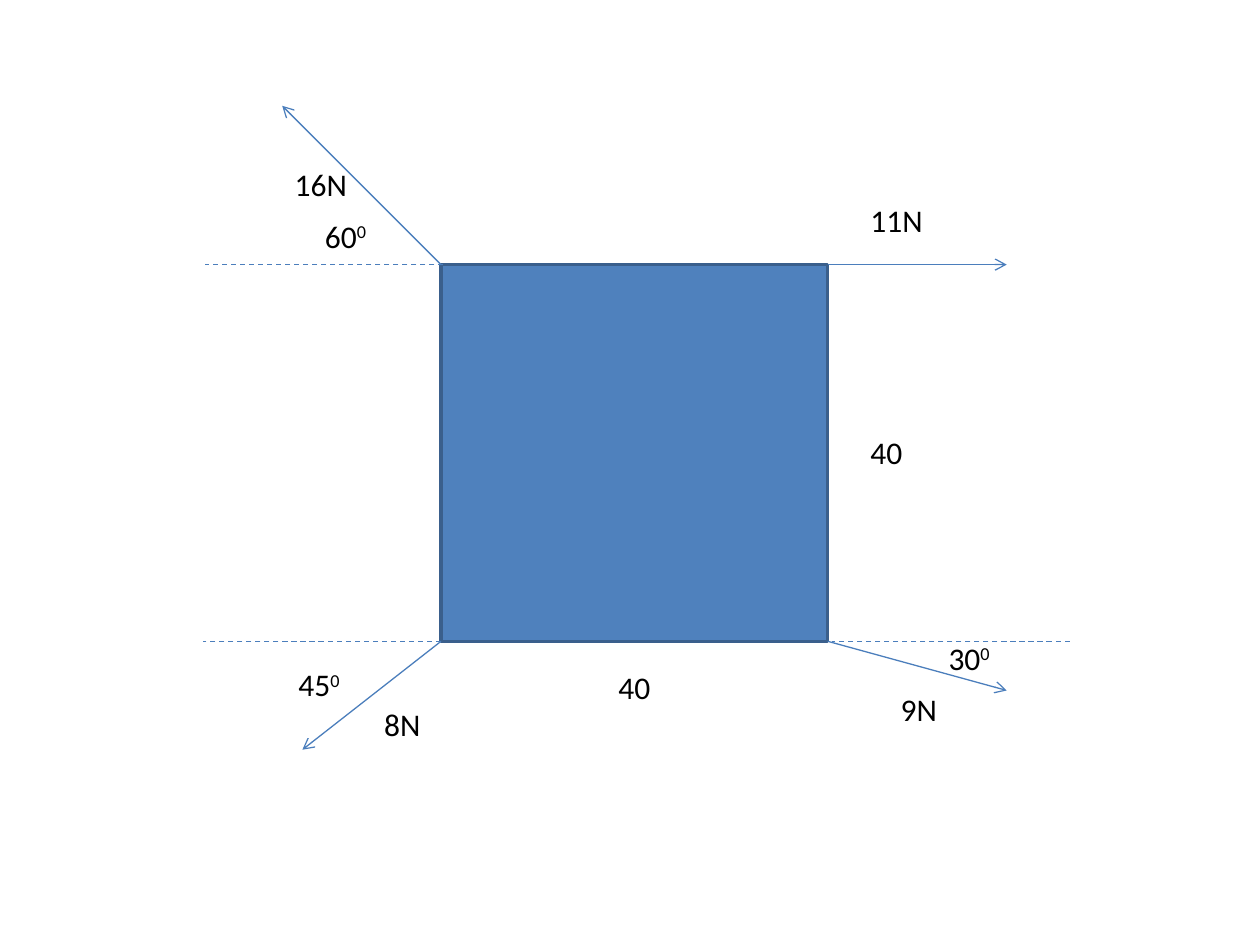
from lxml.etree import SubElement
from pptx import Presentation
from pptx.dml.color import RGBColor
from pptx.enum.dml import MSO_LINE
from pptx.enum.shapes import MSO_CONNECTOR, MSO_SHAPE
from pptx.enum.text import MSO_AUTO_SIZE
from pptx.oxml.ns import qn
from pptx.util import Inches, Pt

LEFT, TOP, RIGHT, BOTTOM = 3.5, 2.1, 6.57, 5.09
GUIDE_LENGTH = 1.89
LABEL_HEIGHT = 0.4
SIDES = [("40", 4.81, 5.25, 0.46), ("40", 6.81, 3.39, 0.46)]
FORCES = [
    {"corner": (RIGHT, TOP), "tip": (7.99, 2.1),
     "force": ("11N", 6.81, 1.55, 0.62)},
    {"corner": (LEFT, BOTTOM), "tip": (2.4, 5.95),
     "force": ("8N", 2.95, 5.55, 0.49),
     "angle": ("45", 2.27, 5.23, 0.6), "guide": LEFT},
    {"corner": (RIGHT, BOTTOM), "tip": (7.99, 5.48),
     "force": ("9N", 7.05, 5.43, 0.49),
     "angle": ("30", 7.43, 5.02, 0.6), "guide": 8.49},
    {"corner": (LEFT, TOP), "tip": (2.24, 0.84),
     "force": ("16N", 2.24, 1.26, 0.62),
     "angle": ("60", 2.48, 1.67, 0.6), "guide": 3.52},
]


def color(value):
    return RGBColor.from_string(value)


def add_label(group, text, left, top, width, superscript="", size=18,
              font="Calibri", fill="000000"):
    box = group.shapes.add_textbox(
        Inches(left), Inches(top), Inches(width), Inches(LABEL_HEIGHT))
    frame = box.text_frame
    frame.word_wrap = False
    frame.auto_size = MSO_AUTO_SIZE.SHAPE_TO_FIT_TEXT
    for content, baseline in ((text, 0), (superscript, 30000)):
        if content:
            run = frame.paragraphs[0].add_run()
            run.text = content
            run.font.name = font
            run.font.size = Pt(size)
            run.font.color.rgb = color(fill)
            if baseline:
                run.font._element.set("baseline", str(baseline))


def add_line(group, start, end, arrow=False, dashed=False):
    connector = group.shapes.add_connector(
        MSO_CONNECTOR.STRAIGHT, *(Inches(value) for value in (*start, *end)))
    connector.line.color.rgb = color("4B7EBC")
    connector.line.width = Pt(0.75)
    if dashed:
        connector.line.dash_style = MSO_LINE.DASH
    if arrow:
        SubElement(connector.line._get_or_add_ln(), qn("a:tailEnd"), type="arrow")
    SubElement(connector._element.spPr, qn("a:effectLst"))


presentation = Presentation()
presentation.slide_width = Inches(10)
presentation.slide_height = Inches(7.5)
slide = presentation.slides.add_slide(presentation.slide_layouts[6])

square_group = slide.shapes.add_group_shape()
square = square_group.shapes.add_shape(
    MSO_SHAPE.RECTANGLE, Inches(LEFT), Inches(TOP),
    Inches(RIGHT - LEFT), Inches(BOTTOM - TOP))
square.shadow.inherit = False
square.fill.solid()
square.fill.fore_color.rgb = color("4F81BD")
square.line.color.rgb = color("3A5F8C")
square.line.width = Pt(2)
for side in SIDES:
    add_label(square_group, *side)

for force in FORCES:
    force_group = slide.shapes.add_group_shape()
    add_line(force_group, force["corner"], force["tip"], arrow=True)
    add_label(force_group, *force["force"])
    if "angle" in force:
        add_label(force_group, *force["angle"], superscript="0 ")
        guide, level = force["guide"], force["corner"][1]
        add_line(force_group, (guide, level), (guide - GUIDE_LENGTH, level),
                 dashed=True)

presentation.save("out.pptx")
